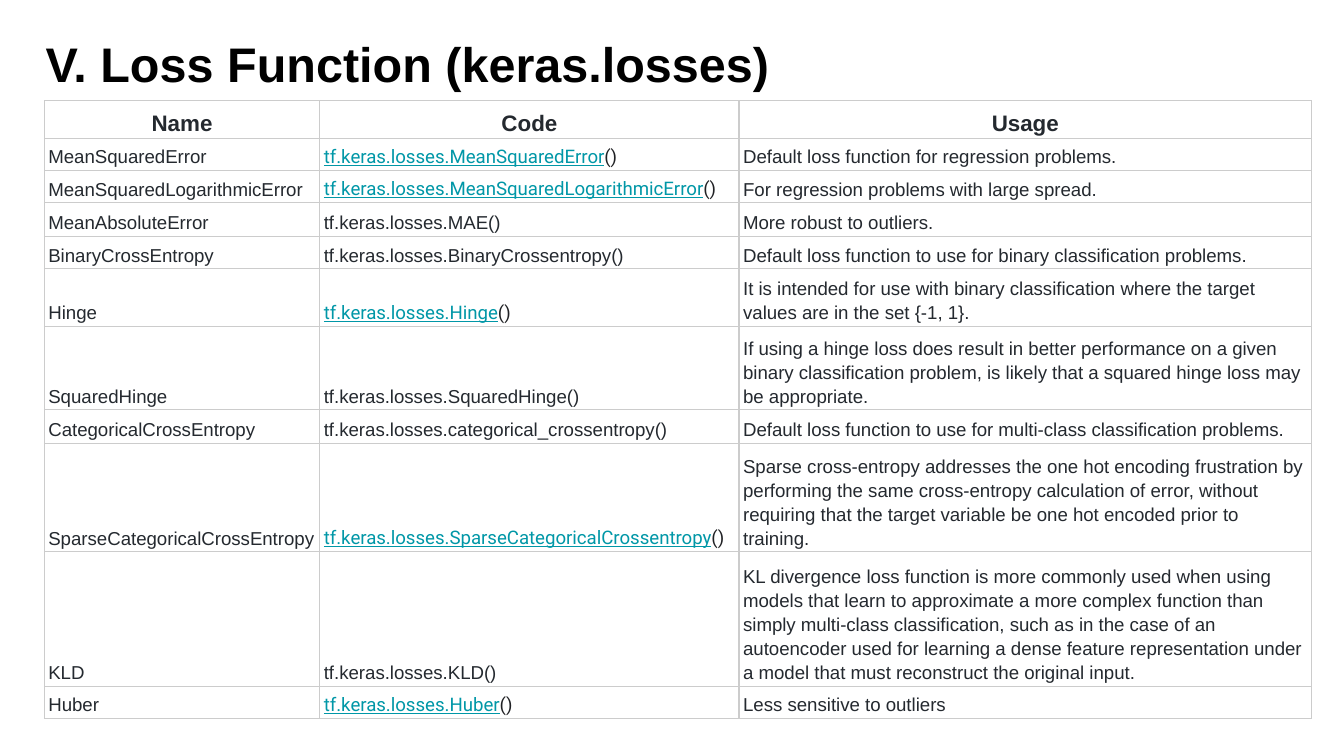
from lxml import etree
from pptx import Presentation
from pptx.dml.color import RGBColor
from pptx.enum.text import MSO_ANCHOR, PP_ALIGN
from pptx.oxml.ns import qn
from pptx.util import Inches, Pt


def color(hex_string):
    return RGBColor.from_string(hex_string)


def add_borders(cell, hex_string, width):
    properties = cell._tc.get_or_add_tcPr()
    for index, side in enumerate(("lnL", "lnR", "lnT", "lnB")):
        line = etree.Element(qn(f"a:{side}"), w=str(width))
        fill = etree.SubElement(line, qn("a:solidFill"))
        etree.SubElement(fill, qn("a:srgbClr"), val=hex_string)
        properties.insert(index, line)


# Widescreen slide, 16:9
presentation = Presentation()
presentation.slide_width = Inches(10)
presentation.slide_height = Inches(10) * 9 // 16
slide = presentation.slides.add_slide(presentation.slide_layouts[6])

# Title
title = slide.shapes.add_textbox(Inches(0.24), Inches(0.15), Inches(9.48), Inches(0.64))
frame = title.text_frame
frame.word_wrap = True
frame.margin_left = frame.margin_right = Inches(0.1)
frame.margin_top = frame.margin_bottom = Inches(0.1)
paragraph = frame.paragraphs[0]
paragraph.text = "V. Loss Function (keras.losses)"
paragraph.font.name = "Arial"
paragraph.font.size = Pt(26)
paragraph.font.bold = True
paragraph.font.color.rgb = color("000000")

# Table content: name, code, underlined code or not, usage, row height
header = ("Name", "Code", "Usage")
losses = [
    ("MeanSquaredError", "MeanSquaredError", True,
     "Default loss function for regression problems.", 0.24),
    ("MeanSquaredLogarithmicError", "MeanSquaredLogarithmicError", True,
     "For regression problems with large spread.", 0.24),
    ("MeanAbsoluteError", "MAE", False, "More robust to outliers.", 0.25),
    ("BinaryCrossEntropy", "BinaryCrossentropy", False,
     "Default loss function to use for binary classification problems.", 0.24),
    ("Hinge", "Hinge", True,
     "It is intended for use with binary classification where the target "
     "values are in the set {-1, 1}.", 0.43),
    ("SquaredHinge", "SquaredHinge", False,
     "If using a hinge loss does result in better performance on a given "
     "binary classification problem, is likely that a squared hinge loss may "
     "be appropriate.", 0.62),
    ("CategoricalCrossEntropy", "categorical_crossentropy", False,
     "Default loss function to use for multi-class classification problems.", 0.25),
    ("SparseCategoricalCrossEntropy", "SparseCategoricalCrossentropy", True,
     "Sparse cross-entropy addresses the one hot encoding frustration by "
     "performing the same cross-entropy calculation of error, without "
     "requiring that the target variable be one hot encoded prior to "
     "training.", 0.62),
    ("KLD", "KLD", False,
     "KL divergence loss function is more commonly used when using models "
     "that learn to approximate a more complex function than simply "
     "multi-class classification, such as in the case of an autoencoder used "
     "for learning a dense feature representation under a model that must "
     "reconstruct the original input.", 1.0),
    ("Huber", "Huber", True, "Less sensitive to outliers", 0.24),
]
column_widths = (2.05, 3.12, 4.26)
row_heights = [0.28] + [loss[-1] for loss in losses]

# Table grid
table_frame = slide.shapes.add_table(
    len(row_heights), len(column_widths), Inches(0.33), Inches(0.75),
    Inches(sum(column_widths)), Inches(sum(row_heights)))
table = table_frame.table
table.horz_banding = False
for column, width in zip(table.columns, column_widths):
    column.width = Inches(width)
for row, height in zip(table.rows, row_heights):
    row.height = Inches(height)

# Table text
for cell, text in zip(table.rows[0].cells, header):
    cell.text = text
for row, (name, code, underlined, usage, height) in zip(list(table.rows)[1:], losses):
    name_cell, code_cell, usage_cell = row.cells
    name_cell.text = name
    usage_cell.text = usage
    code = f"tf.keras.losses.{code}"
    if not underlined:
        code_cell.text = f"{code}()"
        continue
    paragraph = code_cell.text_frame.paragraphs[0]
    for text, hex_string in ((code, "0097A7"), ("()", "202124")):
        run = paragraph.add_run()
        run.text = text
        run.font.name = "Roboto"
        run.font.color.rgb = color(hex_string)
        run.font.underline = text == code

# Cell style
for row_index, row in enumerate(table.rows):
    is_header = row_index == 0
    for cell in row.cells:
        cell.fill.solid()
        cell.fill.fore_color.rgb = color("FFFFFF")
        cell.vertical_anchor = MSO_ANCHOR.BOTTOM
        cell.margin_left = cell.margin_right = Inches(0.03)
        cell.margin_top = cell.margin_bottom = Inches(0.02)
        add_borders(cell, "CCCCCC", Pt(0.75))
        paragraph = cell.text_frame.paragraphs[0]
        paragraph.alignment = PP_ALIGN.CENTER if is_header else PP_ALIGN.LEFT
        paragraph.line_spacing = 1.15
        paragraph.font.name = "Arial"
        paragraph.font.size = Pt(12 if is_header else 10)
        paragraph.font.bold = is_header
        paragraph.font.color.rgb = color("24292F")

presentation.save("out.pptx")
